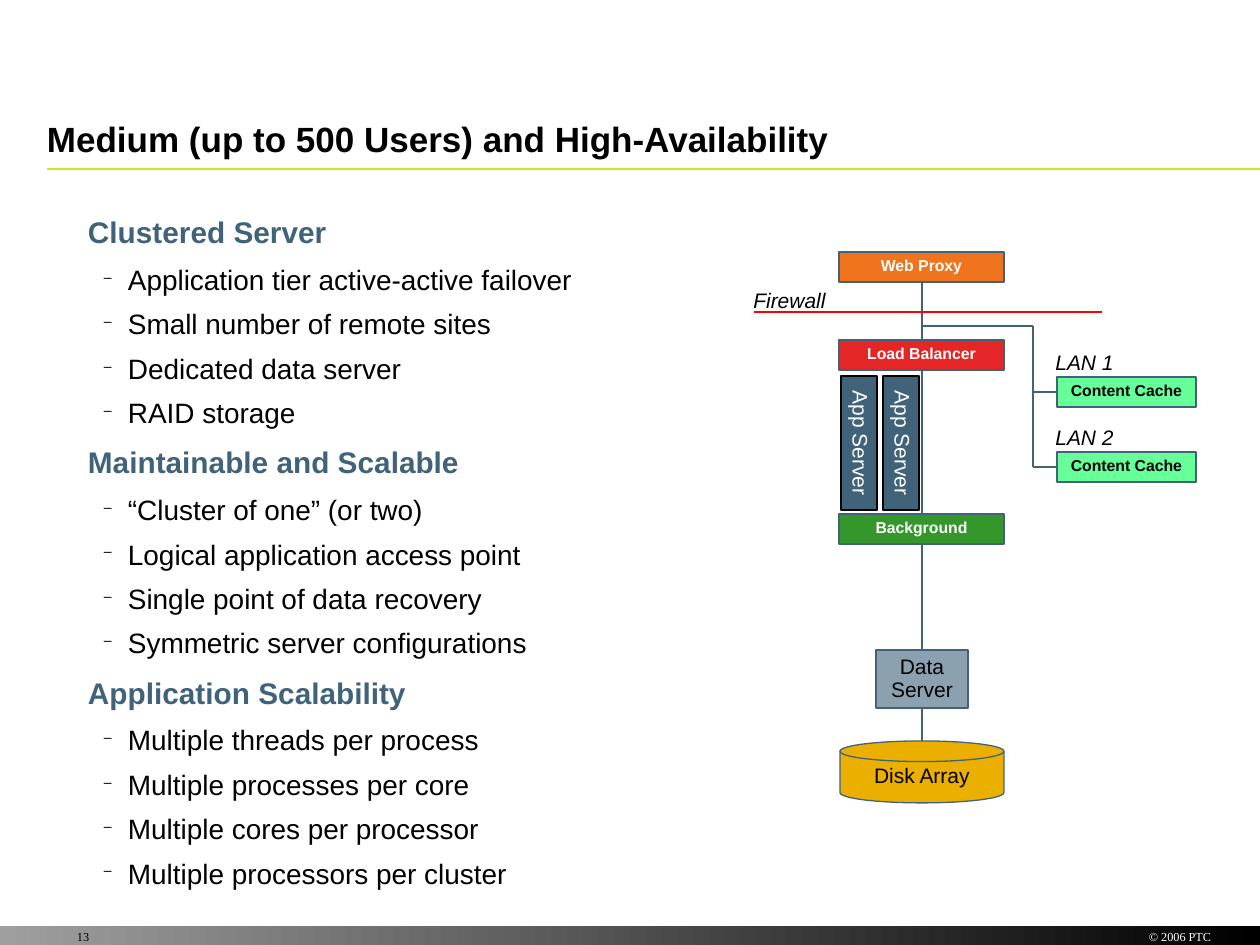
"""Build the slide on a medium, high-availability server deployment."""
from dataclasses import dataclass

from lxml import etree
from pptx import Presentation
from pptx import util as u
from pptx.dml.color import RGBColor
from pptx.enum import shapes, text
from pptx.oxml import ns

PX = 914400 // 126
M = shapes.MSO_SHAPE
LEFT, CENTER, RIGHT = text.PP_ALIGN.LEFT, text.PP_ALIGN.CENTER, text.PP_ALIGN.RIGHT
TOP, MIDDLE, BOTTOM = text.MSO_ANCHOR.TOP, text.MSO_ANCHOR.MIDDLE, text.MSO_ANCHOR.BOTTOM


@dataclass(frozen=True)
class Theme:
    black: str = "000000"
    white: str = "FFFFFF"
    slate: str = "40637A"
    steel: str = "8BA1AF"
    lime: str = "CDE62D"
    red: str = "FF0000"
    proxy: str = "EF741D"
    balancer: str = "E42726"
    background: str = "35962B"
    cache: str = "66FF99"
    disk: str = "EBAF00"
    bar_end: str = "9F9F9F"
    sans: str = "Arial"
    serif: str = "Times New Roman"
    title: int = 20
    heading: int = 17
    body: int = 16
    label: int = 12
    small: int = 9
    footer: int = 7


T = Theme()

TITLE = "Medium (up to 500 Users) and High-Availability"
SECTIONS = [
    ("Clustered Server", ["Application tier active-active failover", "Small number of remote sites",
                          "Dedicated data server", "RAID storage"]),
    ("Maintainable and Scalable", ["“Cluster of one” (or two)", "Logical application access point",
                                   "Single point of data recovery", "Symmetric server configurations"]),
    ("Application Scalability", ["Multiple threads per process", "Multiple processes per core",
                                 "Multiple cores per processor", "Multiple processors per cluster"]),
]
TIERS = [("Web Proxy", 252, T.proxy), ("Load Balancer", 340, T.balancer), ("Background", 514, T.background)]
APP_SERVERS = ["App Server", "App Server"]
LANS = [("LAN 1", 392), ("LAN 2", 467)]

TIER_X, TIER_W, TIER_H = 839, 165, 30
SPINE_X, BRANCH_X, BRANCH_Y = 922, 1033, 326
CACHE_X, CACHE_W = 1057, 139
APP_X, APP_Y, APP_W, APP_H, APP_STEP = 841, 376, 36, 134, 42


def px(*values):
    return [u.Emu(v * PX) for v in values]


def rgb(color):
    return RGBColor.from_string(color)


def style(p, size, color=T.black, font=T.sans, bold=False, italic=False, align=LEFT):
    p.alignment = align
    for r in p.runs:
        f = r.font
        f.size, f.name, f.bold, f.italic = u.Pt(size), font, bold, italic
        f.color.rgb = rgb(color)


def frame(sp, inset=True, wrap=True, anchor=TOP):
    tf = sp.text_frame
    tf.word_wrap, tf.vertical_anchor = wrap, anchor
    tf.margin_left = tf.margin_right = u.Inches(0.1 if inset else 0)
    tf.margin_top = tf.margin_bottom = u.Inches(0.05 if inset else 0)
    return tf


def add_line(s, x1, y1, x2, y2, color=T.slate, width=1):
    c = s.shapes.add_connector(shapes.MSO_CONNECTOR.STRAIGHT, *px(x1, y1, x2, y2))
    c.line.color.rgb, c.line.width = rgb(color), u.Pt(width)
    etree.SubElement(c._element.spPr, ns.qn("a:effectLst"))


def add_box(s, name, x, y, w, h, fill, size=T.label, color=T.black, bold=False,
            edge=T.slate, kind=M.RECTANGLE, wrap=True, anchor=TOP):
    sp = s.shapes.add_shape(kind, *px(x, y, w, h))
    sp.shadow.inherit = False
    sp.fill.solid()
    sp.fill.fore_color.rgb = rgb(fill)
    sp.line.color.rgb, sp.line.width = rgb(edge), u.Pt(0.75)
    tf = frame(sp, wrap=wrap, anchor=anchor)
    tf.text = name
    p = tf.paragraphs[0]
    p.line_spacing = 0.9
    style(p, size, color, bold=bold, align=CENTER)
    return sp


def add_text(s, words, x, y, w, h, size, anchor=TOP, **look):
    tf = frame(s.shapes.add_textbox(*px(x, y, w, h)), inset=False, anchor=anchor)
    tf.text = words
    style(tf.paragraphs[0], size, **look)


def add_label(s, words, x, y, w):
    tf = frame(s.shapes.add_textbox(*px(x, y, w, 35)), wrap=False)
    tf.text = words
    tf.paragraphs[0].line_spacing = 0.9
    style(tf.paragraphs[0], T.label, italic=True)


def add_dash(p):
    pPr = p._p.get_or_add_pPr()
    pPr.set("marL", str(40 * PX))
    pPr.set("indent", str(-24 * PX))
    color = etree.SubElement(pPr, ns.qn("a:buClr"))
    etree.SubElement(color, ns.qn("a:srgbClr"), val=T.black)
    etree.SubElement(pPr, ns.qn("a:buSzPct"), val="50000")
    etree.SubElement(pPr, ns.qn("a:buChar"), char="–")


def add_outline(s):
    tf = frame(s.shapes.add_textbox(*px(88, 221, 583, 685)), inset=False)
    rows = [(words, is_head) for head, items in SECTIONS
            for words, is_head in [(head, True)] + [(item, False) for item in items]]
    for i, (words, is_head) in enumerate(rows):
        p = tf.add_paragraph() if i else tf.paragraphs[0]
        p.text = words
        if not is_head:
            p.level = 1
            add_dash(p)
        p.line_spacing = 0.8
        p.space_before = u.Pt((8.5 if is_head else 6) if i else 0)
        p.space_after = u.Pt(5.2 if is_head else 4)
        style(p, T.heading if is_head else T.body, T.slate if is_head else T.black, bold=is_head)


def add_frame(s):
    bar = s.shapes.add_shape(M.RECTANGLE, *px(0, 926, 1260, 19))
    bar.shadow.inherit = False
    bar.line.fill.background()
    bar.fill.gradient()
    bar.fill.gradient_angle = 180
    for stop, position, color in zip(bar.fill.gradient_stops, (0, 1), (T.black, T.bar_end)):
        stop.position, stop.color.rgb = position, rgb(color)
    add_line(s, 47, 169, 1260, 169, T.lime)
    add_text(s, TITLE, 47, 107, 1164, 53, T.title, anchor=BOTTOM, bold=True)
    add_text(s, "13", 77, 929, 32, 15, T.footer, font=T.serif)
    add_text(s, "© 2006 PTC", 1130, 929, 81, 15, T.footer, color=T.white, font=T.serif, align=RIGHT)


def add_diagram(s):
    add_line(s, SPINE_X, 267, SPINE_X, 753)
    add_line(s, SPINE_X, BRANCH_Y, BRANCH_X, BRANCH_Y)
    add_line(s, BRANCH_X, BRANCH_Y, BRANCH_X, LANS[-1][1])
    add_line(s, 754, 312, 1102, 312, T.red, 1.5)
    add_label(s, "Firewall", 741, 284, 98)
    for name, y, fill in TIERS:
        add_box(s, name, TIER_X, y, TIER_W, TIER_H, fill, T.small, T.white, bold=True)
    for i, name in enumerate(APP_SERVERS):
        x = APP_X + i * APP_STEP + (APP_W - APP_H) // 2
        y = APP_Y + (APP_H - APP_W) // 2
        add_box(s, name, x, y, APP_H, APP_W, T.slate, color=T.white, edge=T.black).rotation = 90
    for name, y in LANS:
        add_line(s, BRANCH_X, y, CACHE_X, y)
        add_box(s, "Content Cache", CACHE_X, y - 15, CACHE_W, TIER_H, T.cache, T.small, bold=True)
        add_label(s, name, 1043, y - 46, 84)
    add_box(s, "Data Server", 876, 650, 92, 58, T.steel)
    add_box(s, "Disk Array", 840, 741, 164, 62, T.disk, kind=M.FLOWCHART_MAGNETIC_DISK,
            wrap=False, anchor=MIDDLE)


def main():
    prs = Presentation()
    prs.slide_width, prs.slide_height = px(1260, 945)
    s = prs.slides.add_slide(prs.slide_layouts[6])
    add_frame(s)
    add_outline(s)
    add_diagram(s)
    prs.save("out.pptx")


if __name__ == "__main__":
    main()
